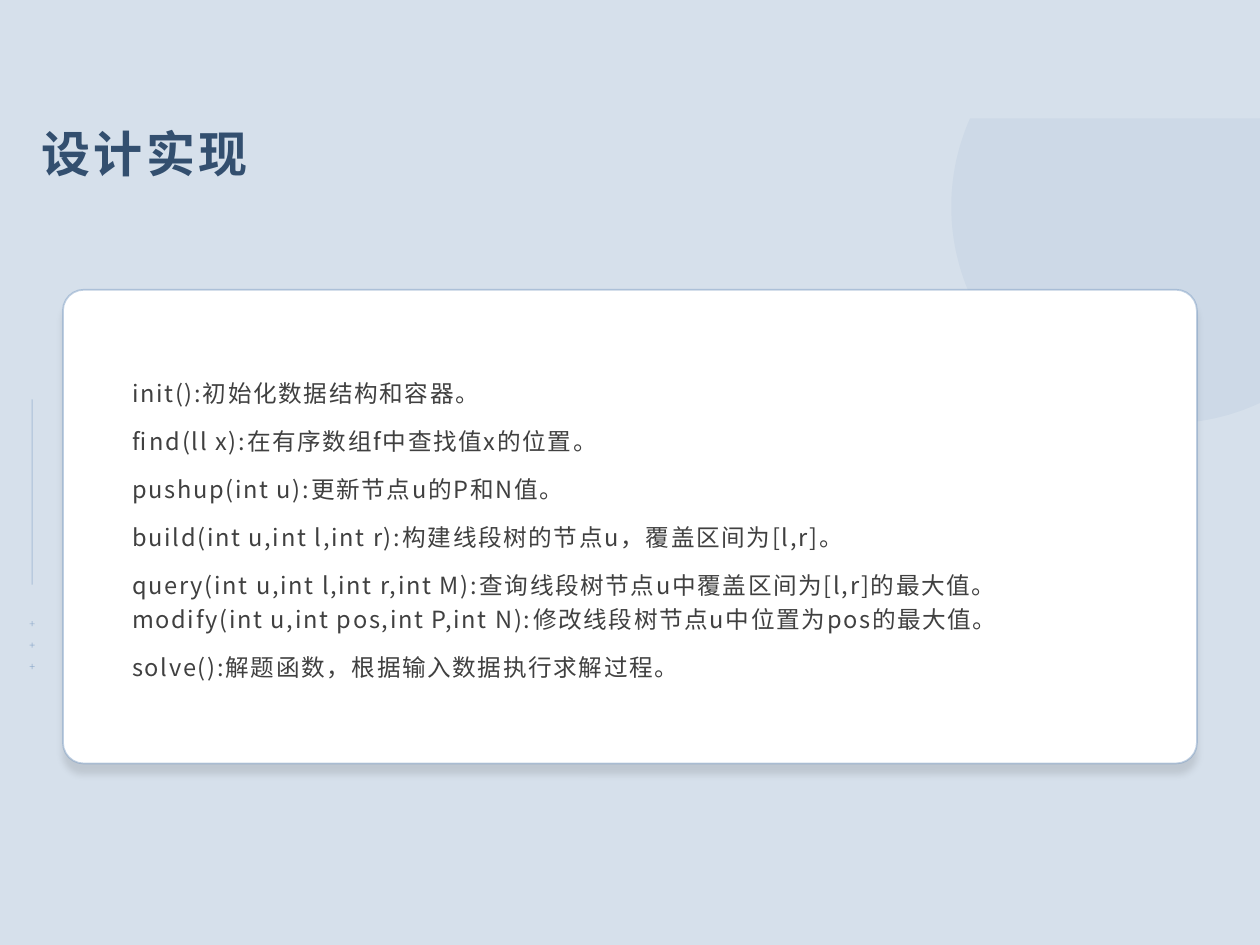
from dataclasses import dataclass
from math import acos, asin, cos, pi, sin

from lxml.etree import SubElement
from pptx import Presentation
from pptx.dml.color import RGBColor
from pptx.enum.shapes import MSO_CONNECTOR, MSO_SHAPE
from pptx.enum.text import MSO_ANCHOR
from pptx.oxml.ns import qn
from pptx.slide import Slide
from pptx.util import Inches, Pt

COLORS = {
    "background": "D6E0EB",
    "accent": "7F9FC4",
    "card": "FFFFFF",
    "title": "334F6F",
    "body": "404040",
    "shadow": "000000",
}
FONT = "Noto Sans CJK SC"
FUNCTIONS = [
    "init():初始化数据结构和容器。",
    "find(ll x):在有序数组f中查找值x的位置。",
    "pushup(int u):更新节点u的P和N值。",
    "build(int u,int l,int r):构建线段树的节点u，覆盖区间为[l,r]。",
    "query(int u,int l,int r,int M):查询线段树节点u中覆盖区间为[l,r]的最大值。"
    "modify(int u,int pos,int P,int N):修改线段树节点u中位置为pos的最大值。",
    "solve():解题函数，根据输入数据执行求解过程。",
]


@dataclass(frozen=True)
class TextStyle:
    """Look of a block of text."""

    size: float
    color: str
    tracking: int
    bold: bool = False
    line_spacing: float = 1.0
    space_after: float = 0


@dataclass(frozen=True)
class Segment:
    """A straight line between two points, in inches."""

    x1: float
    y1: float
    x2: float
    y2: float


TITLE_STYLE = TextStyle(28, "title", 200, bold=True)
BODY_STYLE = TextStyle(13.5, "body", 100, line_spacing=1.2, space_after=8)


def rgb(name: str) -> RGBColor:
    """Look up a palette colour."""
    return RGBColor.from_string(COLORS[name])


def set_alpha(properties, percent: int) -> None:
    """Make the first colour of a fill or line partly transparent."""
    color = next(properties.iter(qn("a:srgbClr")))
    SubElement(color, qn("a:alpha"), val=str(percent * 1000))


def style_line(line, width: float) -> None:
    """Apply the half-transparent accent line."""
    line.color.rgb = rgb("accent")
    line.width = Pt(width)
    set_alpha(line._get_or_add_ln(), 50)


def add_clipped_circle(slide: Slide) -> None:
    """Draw the pale circle cut off by its top edge and the slide side."""
    center_x, center_y, radius, top, right = 9.27, 1.64, 1.72, 0.94, 10
    start = acos((right - center_x) / radius)
    end = pi + asin((center_y - top) / radius)
    steps = 90
    angles = [start + (end - start) * step / steps for step in range(steps + 1)]
    arc = [
        (Inches(center_x + radius * cos(angle)), Inches(center_y + radius * sin(angle)))
        for angle in angles
    ]
    builder = slide.shapes.build_freeform(Inches(right), Inches(top))
    builder.add_line_segments(arc, close=True)
    circle = builder.convert_to_shape()
    circle.shadow.inherit = False
    circle.fill.solid()
    circle.fill.fore_color.rgb = rgb("accent")
    set_alpha(circle._element.spPr, 10)
    circle.line.fill.background()


def add_segment(slide: Slide, segment: Segment) -> None:
    """Draw one thin accent line."""
    ends = (segment.x1, segment.y1, segment.x2, segment.y2)
    connector = slide.shapes.add_connector(
        MSO_CONNECTOR.STRAIGHT, *(Inches(value) for value in ends)
    )
    style_line(connector.line, 0.5)
    SubElement(connector._element.spPr, qn("a:effectLst"))


def add_side_ornament(slide: Slide) -> None:
    """Draw the vertical rule and the plus signs under it."""
    x, arm = 0.255, 0.02
    add_segment(slide, Segment(x, 3.17, x, 4.64))
    for row in range(3):
        y = 4.95 + 0.17 * row
        add_segment(slide, Segment(x, y - arm, x, y + arm))
        add_segment(slide, Segment(x - arm, y, x + arm, y))


def add_card(slide: Slide) -> None:
    """Draw the white rounded card with its soft shadow."""
    card = slide.shapes.add_shape(
        MSO_SHAPE.ROUNDED_RECTANGLE, Inches(0.5), Inches(2.3), Inches(9), Inches(3.76)
    )
    card.adjustments[0] = 0.044
    card.fill.solid()
    card.fill.fore_color.rgb = rgb("card")
    style_line(card.line, 1)
    card.shadow.inherit = False
    effects = card._element.spPr.find(qn("a:effectLst"))
    shadow = SubElement(
        effects,
        qn("a:outerShdw"),
        blurRad=str(Pt(4)),
        dist=str(Pt(6)),
        dir="5400000",
        algn="t",
        rotWithShape="0",
    )
    SubElement(shadow, qn("a:srgbClr"), val=COLORS["shadow"])
    set_alpha(shadow, 11)


def add_text(
    slide: Slide,
    left: float,
    top: float,
    width: float,
    height: float,
    lines: list[str],
    style: TextStyle,
) -> None:
    """Add a vertically centred text box with one paragraph per line."""
    box = slide.shapes.add_textbox(
        Inches(left), Inches(top), Inches(width), Inches(height)
    )
    frame = box.text_frame
    frame.word_wrap = True
    frame.vertical_anchor = MSO_ANCHOR.MIDDLE
    frame.margin_left = frame.margin_right = Inches(0.05)
    frame.margin_top = frame.margin_bottom = Inches(0.02)
    frame.text = "\n".join(lines)
    for paragraph in frame.paragraphs:
        paragraph.line_spacing = style.line_spacing
        paragraph.space_after = Pt(style.space_after)
        for run in paragraph.runs:
            run.font.size = Pt(style.size)
            run.font.bold = style.bold
            run.font.color.rgb = rgb(style.color)
            run.font.name = FONT
            properties = run._r.get_or_add_rPr()
            properties.set("spc", str(style.tracking))
            SubElement(properties, qn("a:ea"), typeface=FONT)


def main() -> None:
    """Build and save the slide."""
    presentation = Presentation()
    presentation.slide_width = Inches(10)
    presentation.slide_height = Inches(7.5)
    slide = presentation.slides.add_slide(presentation.slide_layouts[6])
    slide.background.fill.solid()
    slide.background.fill.fore_color.rgb = rgb("background")
    add_clipped_circle(slide)
    add_side_ornament(slide)
    add_card(slide)
    add_text(slide, 0.28, 0.94, 1.96, 0.55, ["设计实现"], TITLE_STYLE)
    add_text(slide, 1, 2.68, 8, 3.01, FUNCTIONS, BODY_STYLE)
    presentation.save("out.pptx")


if __name__ == "__main__":
    main()
